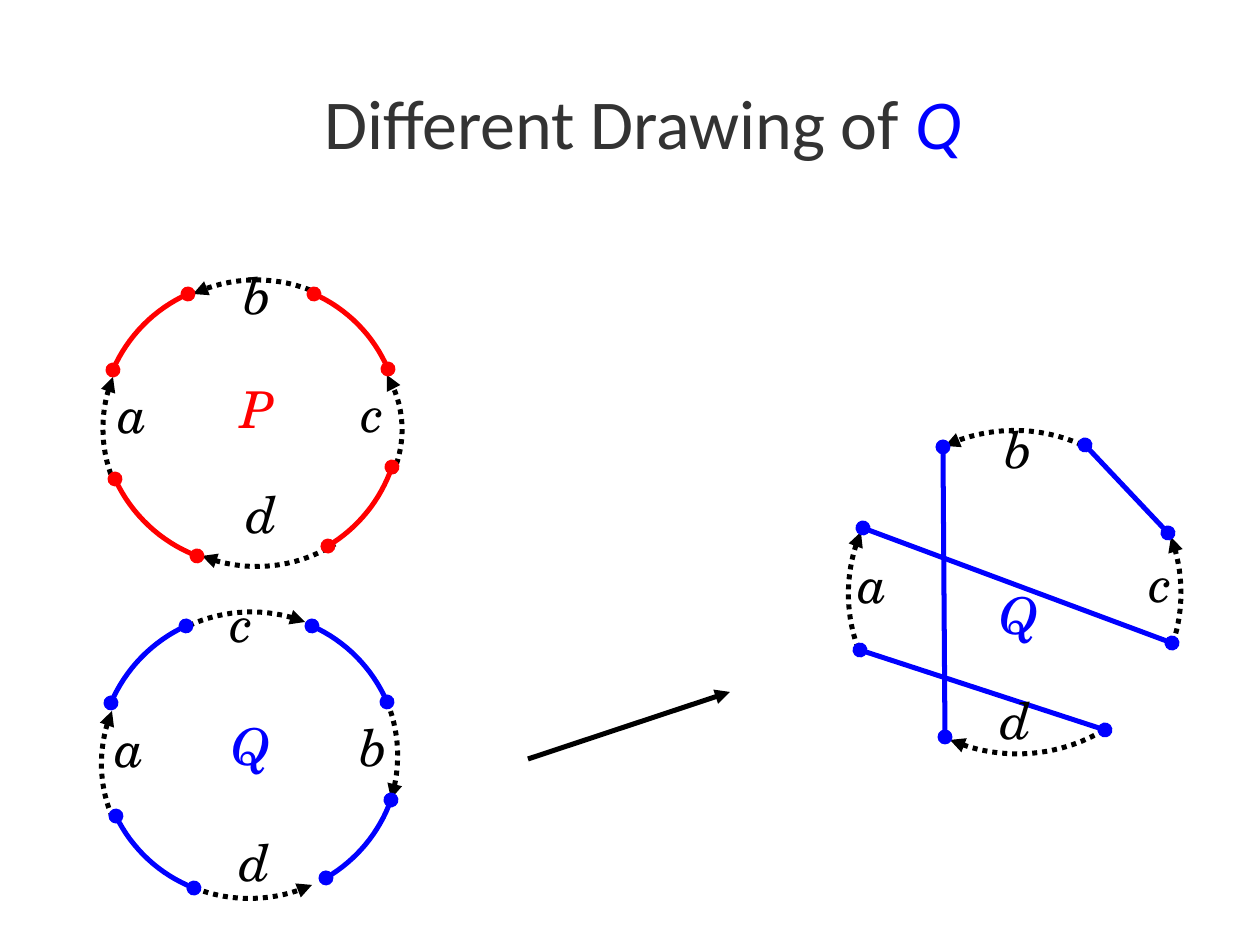
from dataclasses import dataclass
from math import asin, cos, hypot, sin

from lxml import etree
from pptx import Presentation
from pptx.dml.color import RGBColor
from pptx.enum.dml import MSO_LINE
from pptx.enum.shapes import MSO_CONNECTOR
from pptx.enum.text import MSO_ANCHOR, PP_ALIGN
from pptx.oxml.ns import qn
from pptx.util import Pt

DOTS = MSO_LINE.ROUND_DOT
STRAIGHT = MSO_CONNECTOR.STRAIGHT
MIDDLE = MSO_ANCHOR.MIDDLE
CENTER = PP_ALIGN.CENTER
START, END = "headEnd", "tailEnd"
STEPS = 16


@dataclass(frozen=True)
class Theme:
    black: RGBColor = RGBColor(0, 0, 0)
    gray: RGBColor = RGBColor(0x33, 0x33, 0x33)
    red: RGBColor = RGBColor(0xFF, 0, 0)
    blue: RGBColor = RGBColor(0, 0, 0xFF)
    sans: str = "Calibri"
    serif: str = "TeX Gyre Schola"
    title: int = 40
    label: int = 29
    stroke: float = 2.85


THEME = Theme()

# Width and height of the box for each letter
SIZES = {"a": (43, 81), "b": (35, 69), "c": (23, 50), "d": (30, 60),
         "P": (28, 82), "Q": (37, 82)}


def px(n):
    return round(n * 914400 / 126)


def stroke(shape, color, ends, dash=None):
    """Style a line; ends maps START or END to a head type."""
    line = shape.line
    line.color.rgb = color
    line.width = Pt(THEME.stroke)
    if dash is not None:
        line.dash_style = dash
    props = shape.element.spPr
    for end, kind in ends.items():
        etree.SubElement(props.find(qn("a:ln")), qn(f"a:{end}"), type=kind)
    etree.SubElement(props, qn("a:effectLst"))


def bend(x1, y1, x2, y2, rise):
    """Points of a circle arc that rises to the right of its chord."""
    span = hypot(x2 - x1, y2 - y1)
    ux, uy = (x2 - x1) / span, (y2 - y1) / span
    nx, ny = -uy, ux
    rad = (span ** 2 / 4 + rise ** 2) / (2 * rise)
    cx = (x1 + x2) / 2 - nx * (rad - rise)
    cy = (y1 + y2) / 2 - ny * (rad - rise)
    half = asin(span / 2 / rad)
    turns = [half * (2 * i / STEPS - 1) for i in range(STEPS + 1)]
    return [(px(cx + rad * (nx * cos(t) + ux * sin(t))),
             px(cy + rad * (ny * cos(t) + uy * sin(t)))) for t in turns]


def add_arc(slide, box, arc, color, ends, dash=None):
    x, y = box
    x1, y1, x2, y2, rise = arc
    points = bend(x + x1, y + y1, x + x2, y + y2, rise)
    form = slide.shapes.build_freeform(*points[0], scale=1.0)
    form.add_line_segments(points[1:], close=False)
    shape = form.convert_to_shape()
    shape.fill.background()
    stroke(shape, color, ends, dash)


def add_line(slide, box, ends, color, heads):
    x, y = box
    x1, y1, x2, y2 = ends
    line = slide.shapes.add_connector(
        STRAIGHT, px(x + x1), px(y + y1), px(x + x2), px(y + y2))
    stroke(line, color, heads)


def add_label(slide, box, text, spot, color):
    width, height = SIZES[text]
    area = slide.shapes.add_textbox(
        px(box[0] + spot[0]), px(box[1] + spot[1]), px(width), px(height))
    frame = area.text_frame
    frame.word_wrap = False
    frame.margin_left = frame.margin_right = 0
    frame.margin_top = frame.margin_bottom = 0
    para = frame.paragraphs[0]
    para.text = text
    para.line_spacing = 0.63
    font = para.font
    font.name, font.size, font.italic = THEME.serif, Pt(THEME.label), True
    font.color.rgb = color


def add_ring(slide, box, color, gaps, labels, sides=(), chords=()):
    """Draw a polygon ring: dotted gaps, solid sides or chords, letters."""
    dots = {START: "oval", END: "oval"}
    for *arc, tip in gaps:
        add_arc(slide, box, arc, THEME.black, {tip: "triangle"}, DOTS)
    for arc in sides:
        add_arc(slide, box, arc, color, dots)
    for chord in chords:
        add_line(slide, box, chord, color, dots)
    for text, spot in labels.items():
        add_label(slide, box, text, spot,
                  color if text.isupper() else THEME.black)


def add_title(slide, left, top, width, height):
    title = slide.shapes.title
    title.left, title.top = px(left), px(top)
    title.width, title.height = px(width), px(height)
    frame = title.text_frame
    frame.margin_left = frame.margin_right = 0
    frame.margin_top = frame.margin_bottom = 0
    frame.vertical_anchor = MIDDLE
    para = frame.paragraphs[0]
    para.alignment, para.line_spacing = CENTER, 1.02
    para.font.name, para.font.size = THEME.sans, Pt(THEME.title)
    para.font.color.rgb = THEME.gray
    para.add_run().text = "Different Drawing of "
    name = para.add_run()
    name.text = "Q"
    name.font.italic = True
    name.font.color.rgb = THEME.blue


def main():
    deck = Presentation()
    deck.slide_width, deck.slide_height = px(1260), px(945)
    slide = deck.slides.add_slide(deck.slide_layouts[5])
    add_title(slide, 63, 42, 1160, 157)

    # Arcs run counterclockwise: x1, y1, x2, y2, rise
    # Ring P, upper left
    add_ring(
        slide, (100, 270), THEME.red,
        gaps=[(210, 20, 93, 24, 12, END), (13, 107, 13, 210, 10, START),
              (102, 286, 235, 274, 16, START), (293, 203, 287, 105, 12, END)],
        sides=[(288, 99, 214, 24, 10), (88, 24, 13, 100, 10),
               (15, 209, 97, 286, 11), (228, 276, 292, 197, 9)],
        labels={"a": (18, 133), "b": (144, 14), "c": (262, 132),
                "d": (147, 233), "P": (141, 128)})

    # Ring Q, lower left
    add_ring(
        slide, (98, 602), THEME.blue,
        gaps=[(207, 20, 90, 24, 12, START), (14, 109, 13, 212, 10, START),
              (96, 286, 214, 283, 12, END), (293, 197, 288, 97, 9, START)],
        sides=[(289, 100, 214, 24, 10), (88, 24, 13, 101, 10),
               (18, 214, 96, 286, 10), (228, 276, 293, 198, 9)],
        labels={"a": (18, 135), "b": (262, 134), "c": (133, 10),
                "d": (141, 249), "Q": (134, 133)})

    # Arrow to the new drawing
    add_line(slide, (528, 692), (0, 67, 202, 0), THEME.black,
             {END: "triangle"})

    # Q with crossing chords, right
    add_ring(
        slide, (840, 420), THEME.blue,
        gaps=[(242, 25, 105, 26, 15, END), (21, 112, 18, 228, 11, START),
              (110, 320, 269, 307, 20, START), (333, 223, 331, 117, 9, END)],
        chords=[(23, 108, 332, 223), (245, 25, 328, 113),
                (105, 317, 103, 27), (20, 230, 265, 310)],
        labels={"a": (19, 153), "b": (165, 18), "c": (310, 152),
                "d": (160, 289), "Q": (160, 184)})

    deck.save("out.pptx")


if __name__ == "__main__":
    main()
